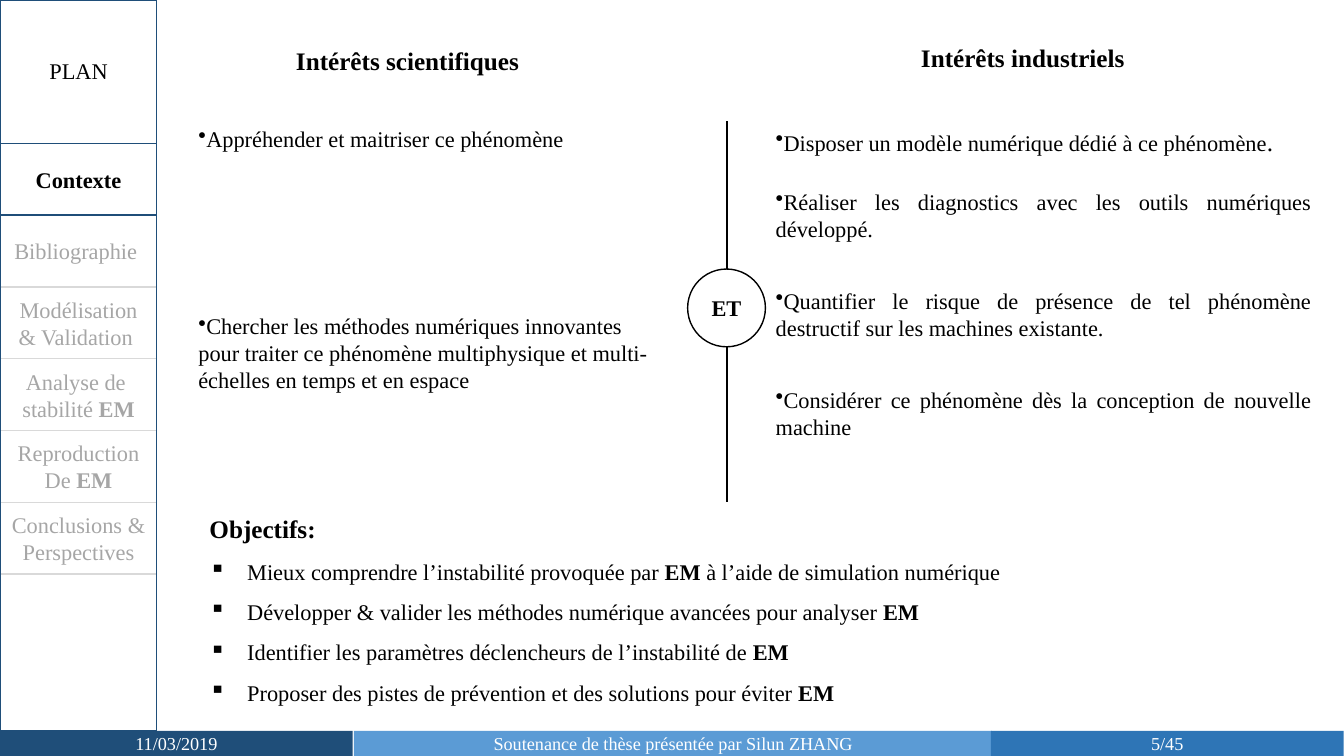
import dataclasses

import pptx
import pptx.dml.color
import pptx.enum.shapes
import pptx.enum.text
import pptx.oxml.ns
import pptx.util
from lxml import etree
from pptx.util import Cm

SHAPE = pptx.enum.shapes.MSO_SHAPE
ALIGN = pptx.enum.text.PP_ALIGN


@dataclasses.dataclass(frozen=True)
class Theme:
    """Fonts, colours and type sizes of the slide."""
    font: str = "Times New Roman"
    ink: str = "000000"
    paper: str = "FFFFFF"
    muted: str = "A6A6A6"
    rule: str = "D9D9D9"
    navy: str = "1F4E79"
    blue: str = "2E75B6"
    sky: str = "5B9BD5"
    heading: int = 18
    body: int = 16
    footer: int = 13


@dataclasses.dataclass(frozen=True)
class Span:
    """A piece of text that differs from the rest of its paragraph."""
    text: str
    bold: bool = False
    size: int = 0


THEME = Theme()
EM = Span("EM", bold=True)
ROW_LEFT, ROW_WIDTH, ROW_TOP, ROW_HEIGHT = 0.02, 3.92, 3.61, 1.81
FOOTER_TOP, FOOTER_HEIGHT = 18.42, 0.63

UPCOMING = [
    [["Bibliographie "]],
    [["Modélisation & Validation "]],
    [["Analyse de  stabilité ", EM]],
    [["Reproduction"], ["De ", EM]],
    [["Conclusions & Perspectives"]],
]
FOOTER = [
    ("11/03/2019", 0, 8.89, THEME.navy),
    ("Soutenance de thèse présentée par Silun ZHANG", 8.92, 16.08, THEME.sky),
    ("5/45", 24.97, 8.89, THEME.blue),
]
HEADINGS = [
    ("Intérêts scientifiques", 7.21, 1.02),
    ("Intérêts industriels", 22.96, 0.94),
]
INTERESTS = [
    (["Appréhender et maitriser ce phénomène"], 4.75, 3.02, 10.46, ALIGN.JUSTIFY),
    (["Chercher les méthodes numériques innovantes pour traiter ce phénomène "
      "multiphysique et multi-échelles en temps et en espace"],
     4.75, 7.75, 12.12, ALIGN.LEFT),
    (["Disposer un modèle numérique dédié à ce phénomène", Span(". ", size=THEME.heading)],
     19.3, 3.05, 14, ALIGN.JUSTIFY),
    (["Réaliser les diagnostics avec les outils numériques développé."],
     19.3, 4.62, 14, ALIGN.JUSTIFY),
    (["Quantifier le risque de présence de tel phénomène destructif "
      "sur les machines existante."], 19.3, 7.11, 14, ALIGN.JUSTIFY),
    (["Considérer ce phénomène dès la conception de nouvelle machine"],
     19.3, 9.6, 14, ALIGN.JUSTIFY),
]
OBJECTIVES = [
    ["Mieux comprendre l’instabilité provoquée par ", Span("EM ", bold=True),
     "à l’aide de simulation numérique"],
    ["Développer & valider les méthodes numérique avancées pour analyser ", EM],
    ["Identifier les paramètres déclencheurs de l’instabilité de ", EM],
    ["Proposer des pistes de prévention et des solutions pour éviter ", EM],
]


def rgb(value):
    """Turn a hexadecimal string into a colour."""
    return pptx.dml.color.RGBColor.from_string(value)


def add_bullet(para, mark, margin, indent):
    """Give a paragraph a bullet and its hanging indent."""
    properties = para._p.get_or_add_pPr()
    properties.set("marL", str(Cm(margin)))
    properties.set("indent", str(Cm(indent)))
    bullet = etree.SubElement(properties, pptx.oxml.ns.qn("a:buChar"))
    bullet.set("char", mark)


def write(para, spans, size=THEME.body, color=THEME.ink, bold=False,
          align=ALIGN.LEFT, bullet=None, spacing=None):
    """Write spans into a paragraph with the given format."""
    if bullet:
        add_bullet(para, *bullet)
    para.alignment = align
    para.line_spacing = spacing
    for item in spans:
        span = item if isinstance(item, Span) else Span(item, bold)
        run = para.add_run()
        run.text = span.text
        run.font.name = THEME.font
        run.font.size = pptx.util.Pt(span.size or size)
        run.font.bold = span.bold
        run.font.color.rgb = rgb(color)


def add_text(page, spans, left, top, width, height=0.94, **style):
    """Add a text box holding one paragraph."""
    box = page.shapes.add_textbox(Cm(left), Cm(top), Cm(width), Cm(height))
    box.text_frame.word_wrap = True
    box.text_frame.auto_size = pptx.enum.text.MSO_AUTO_SIZE.SHAPE_TO_FIT_TEXT
    write(box.text_frame.paragraphs[0], spans, **style)
    return box


def add_panel(page, left, top, width, height, paragraphs=(), kind=SHAPE.RECTANGLE,
              fill=None, line=None, **style):
    """Add a shape with optional fill, outline and centred text."""
    panel = page.shapes.add_shape(kind, Cm(left), Cm(top), Cm(width), Cm(height))
    panel.shadow.inherit = False
    if fill:
        panel.fill.solid()
        panel.fill.fore_color.rgb = rgb(fill)
    else:
        panel.fill.background()
    if line:
        panel.line.color.rgb = rgb(line)
        panel.line.width = pptx.util.Pt(1)
    else:
        panel.line.fill.background()
    frame = panel.text_frame
    frame.vertical_anchor = pptx.enum.text.MSO_ANCHOR.MIDDLE
    for index, spans in enumerate(paragraphs):
        para = frame.add_paragraph() if index else frame.paragraphs[0]
        write(para, spans, align=ALIGN.CENTER, **style)


def add_line(page, left, top, bottom):
    """Add a vertical line."""
    line = page.shapes.add_connector(pptx.enum.shapes.MSO_CONNECTOR.STRAIGHT,
                                     Cm(left), Cm(top), Cm(left), Cm(bottom))
    line.line.color.rgb = rgb(THEME.ink)
    line.line.width = pptx.util.Pt(1.5)
    etree.SubElement(line._element.spPr, pptx.oxml.ns.qn("a:effectLst"))


def add_sidebar(page):
    """Add the plan with its current and upcoming sections."""
    add_text(page, ["PLAN"], 0.23, 1.32, 3.5, align=ALIGN.CENTER)
    for index, paragraphs in enumerate(UPCOMING, start=1):
        add_panel(page, ROW_LEFT, ROW_TOP + index * ROW_HEIGHT, ROW_WIDTH, ROW_HEIGHT,
                  paragraphs, line=THEME.rule, color=THEME.muted)
    add_panel(page, ROW_LEFT, 0, ROW_WIDTH, FOOTER_TOP, line=THEME.navy)
    add_panel(page, ROW_LEFT, ROW_TOP, ROW_WIDTH, ROW_HEIGHT, [["Contexte"]],
              line=THEME.navy, bold=True)


def add_footer(page):
    """Add the date, the talk and the page number."""
    for text, left, width, fill in FOOTER:
        add_panel(page, left, FOOTER_TOP, width, FOOTER_HEIGHT, [[text]],
                  fill=fill, size=THEME.footer, color=THEME.paper)


def add_interests(page):
    """Add both columns of interests and the divider between them."""
    for text, left, top in HEADINGS:
        add_text(page, [text], left, top, 6.35, size=THEME.heading, bold=True)
    add_line(page, 18.31, 3.05, 12.65)
    add_panel(page, 17.33, 6.78, 1.96, 1.96, [["ET"]], kind=SHAPE.OVAL,
              fill=THEME.paper, line=THEME.ink, bold=True)
    for spans, left, top, width, align in INTERESTS:
        add_text(page, spans, left, top, width, align=align, bullet=("•", 0, -0.79))


def add_objectives(page):
    """Add the list of objectives under its heading."""
    box = add_text(page, ["Objectifs: ", Span(" ", size=20)], 5.03, 12.75, 22.56, 5.31,
                   size=THEME.heading, bold=True)
    for spans in OBJECTIVES:
        write(box.text_frame.add_paragraph(), spans, bullet=("▪", 0.95, -0.95), spacing=1.5)


def main():
    """Build the slide and save it."""
    deck = pptx.Presentation()
    deck.slide_width, deck.slide_height = Cm(33.87), Cm(19.05)
    page = deck.slides.add_slide(deck.slide_layouts.get_by_name("Blank"))
    add_sidebar(page)
    add_footer(page)
    add_interests(page)
    add_objectives(page)
    deck.save("out.pptx")


if __name__ == "__main__":
    main()
